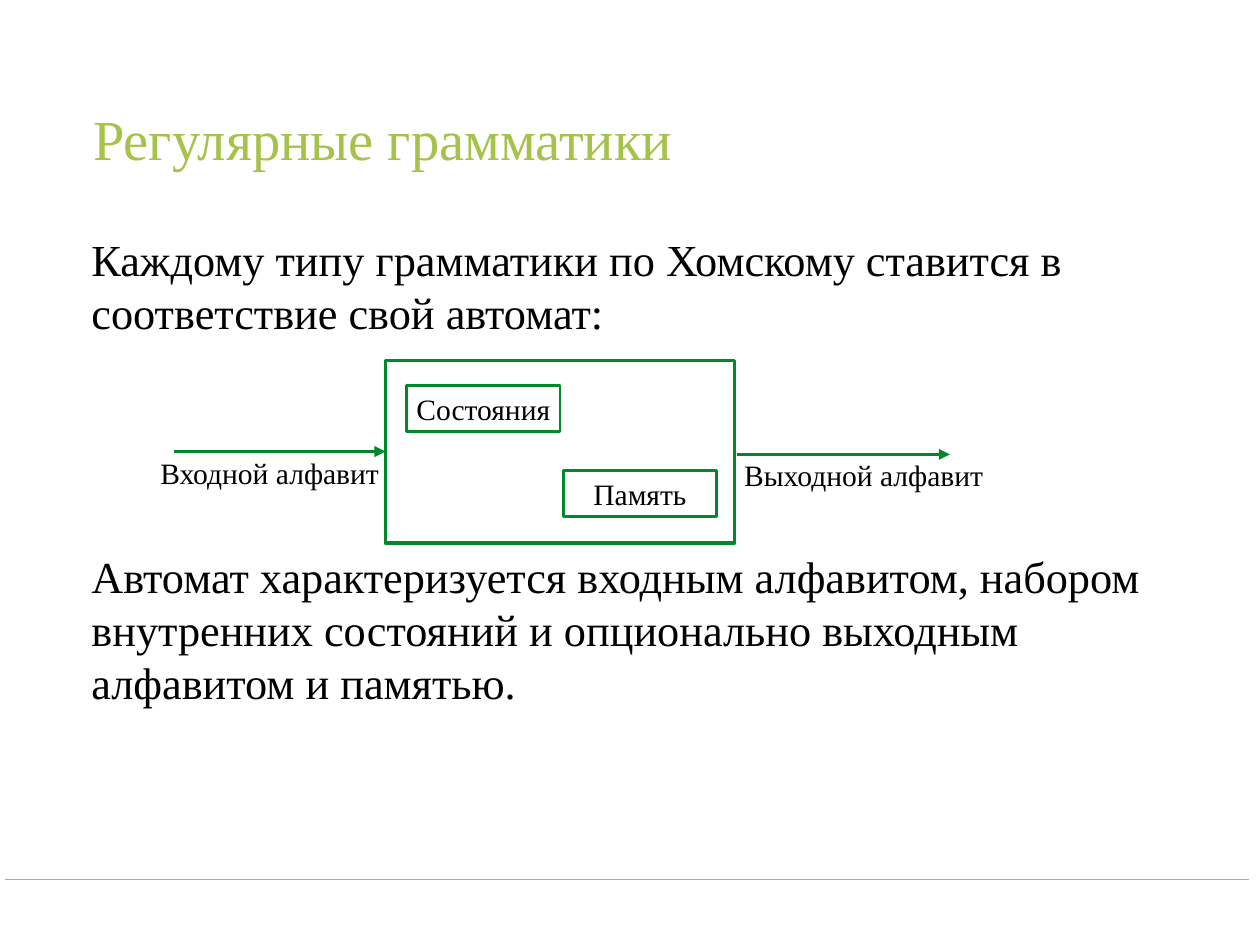
from dataclasses import dataclass

from lxml.etree import SubElement
from pptx import Presentation
from pptx.dml.color import RGBColor
from pptx.enum.shapes import MSO_CONNECTOR, MSO_SHAPE
from pptx.enum.text import MSO_ANCHOR, MSO_AUTO_SIZE, PP_ALIGN
from pptx.oxml.ns import qn
from pptx.util import Cm, Pt


@dataclass(frozen=True)
class Theme:
    font: str = "Times New Roman"
    title: str = "A5C249"
    text: str = "000000"
    paper: str = "FFFFFF"
    frame: str = "00882B"
    arrow: str = "00852A"
    rule: str = "A3C044"
    title_pt: float = 46
    body_pt: float = 36
    body_line_pt: float = 43
    label_pt: float = 24


@dataclass(frozen=True)
class Area:
    """Position and size in centimetres."""
    x: float
    y: float
    w: float
    h: float

    def lengths(self) -> tuple:
        return Cm(self.x), Cm(self.y), Cm(self.w), Cm(self.h)


@dataclass(frozen=True)
class Box:
    area: Area
    line_pt: float
    text: str = ""


@dataclass(frozen=True)
class Label:
    area: Area
    text: str


@dataclass(frozen=True)
class Line:
    x1: float
    x2: float
    y: float
    color: str
    width_pt: float
    arrow: bool = False


THEME = Theme()
DIAGRAM_ROWS = 4  # body lines left free for the automaton diagram

TITLE = "Регулярные грамматики"
BODY = (
    "Каждому типу грамматики по Хомскому ставится в соответствие свой автомат:",
    "Автомат характеризуется входным алфавитом, набором внутренних состояний "
    "и опционально выходным алфавитом и памятью.",
)
BOXES = (
    Box(Area(11.05, 10.34, 10.01, 5.23), 3),
    Box(Area(11.66, 11.05, 4.39, 1.32), 2, "Состояния"),
    Box(Area(16.15, 13.49, 4.39, 1.32), 2, "Память"),
)
LABELS = (
    Label(Area(4.39, 12.9, 6.68, 1.32), "Входной алфавит"),
    Label(Area(21.13, 12.95, 7.26, 1.32), "Выходной алфавит"),
)
FOOTER_RULE = Line(0.15, 35.81, 25.22, THEME.rule, 1)
ARROWS = (
    Line(4.98, 11.05, 12.95, THEME.arrow, 3, arrow=True),
    Line(21.13, 27.23, 13.03, THEME.arrow, 3, arrow=True),
)


def write(p, text: str, *, size: float, color: str = THEME.text,
          align=PP_ALIGN.LEFT, line=None, before: float = 0) -> None:
    p.alignment = align
    p.space_before = Pt(before)
    p.space_after = Pt(0)
    if line is not None:
        p.line_spacing = line
    r = p.add_run()
    r.text = text
    r.font.name = THEME.font
    r.font.size = Pt(size)
    r.font.color.rgb = RGBColor.from_string(color)


def set_frame(tf, *, inset: float, anchor, wrap: bool = True) -> None:
    tf.margin_left = tf.margin_right = tf.margin_top = tf.margin_bottom = Cm(inset)
    tf.vertical_anchor = anchor
    tf.word_wrap = wrap
    tf.auto_size = MSO_AUTO_SIZE.NONE


def place(sp, area: Area) -> None:
    sp.left, sp.top, sp.width, sp.height = area.lengths()


def remove_bullet(p) -> None:
    pPr = p._p.get_or_add_pPr()
    pPr.set("marL", "0")
    pPr.set("indent", "0")
    SubElement(pPr, qn("a:buNone"))


def fill_title(s) -> None:
    sp = s.shapes.title
    place(sp, Area(2.49, 1.45, 31.17, 5.23))
    set_frame(sp.text_frame, inset=0.18, anchor=MSO_ANCHOR.MIDDLE)
    write(sp.text_frame.paragraphs[0], TITLE, size=THEME.title_pt,
          color=THEME.title, line=0.9)


def fill_body(s) -> None:
    sp = s.placeholders[1]
    place(sp, Area(2.44, 6.48, 31.83, 19.89))
    tf = sp.text_frame
    set_frame(tf, inset=0.18, anchor=MSO_ANCHOR.TOP)
    for i, text in enumerate(BODY):
        p = tf.add_paragraph() if i else tf.paragraphs[0]
        write(p, text, size=THEME.body_pt, line=Pt(THEME.body_line_pt),
              before=i * DIAGRAM_ROWS * THEME.body_line_pt)
        remove_bullet(p)


def write_label(tf, text: str, *, wrap: bool) -> None:
    set_frame(tf, inset=0.15, anchor=MSO_ANCHOR.MIDDLE, wrap=wrap)
    write(tf.paragraphs[0], text, size=THEME.label_pt, align=PP_ALIGN.CENTER)


def add_box(s, box: Box) -> None:
    sp = s.shapes.add_shape(MSO_SHAPE.RECTANGLE, *box.area.lengths())
    sp.shadow.inherit = False
    sp.fill.solid()
    sp.fill.fore_color.rgb = RGBColor.from_string(THEME.paper)
    sp.line.color.rgb = RGBColor.from_string(THEME.frame)
    sp.line.width = Pt(box.line_pt)
    if box.text:
        write_label(sp.text_frame, box.text, wrap=True)


def add_label(s, label: Label) -> None:
    sp = s.shapes.add_textbox(*label.area.lengths())
    write_label(sp.text_frame, label.text, wrap=False)


def add_line(s, line: Line) -> None:
    c = s.shapes.add_connector(MSO_CONNECTOR.STRAIGHT, Cm(line.x1), Cm(line.y),
                               Cm(line.x2), Cm(line.y))
    c.line.color.rgb = RGBColor.from_string(line.color)
    c.line.width = Pt(line.width_pt)
    if line.arrow:
        SubElement(c.line._get_or_add_ln(), qn("a:tailEnd"), type="triangle")
    SubElement(c._element.spPr, qn("a:effectLst"))


def main() -> None:
    prs = Presentation()
    prs.slide_width, prs.slide_height = Cm(36.12), Cm(27.1)
    s = prs.slides.add_slide(prs.slide_layouts[1])
    fill_title(s)
    add_line(s, FOOTER_RULE)
    fill_body(s)
    for box in BOXES:
        add_box(s, box)
    for arrow, label in zip(ARROWS, LABELS):
        add_line(s, arrow)
        add_label(s, label)
    prs.save("out.pptx")


if __name__ == "__main__":
    main()
